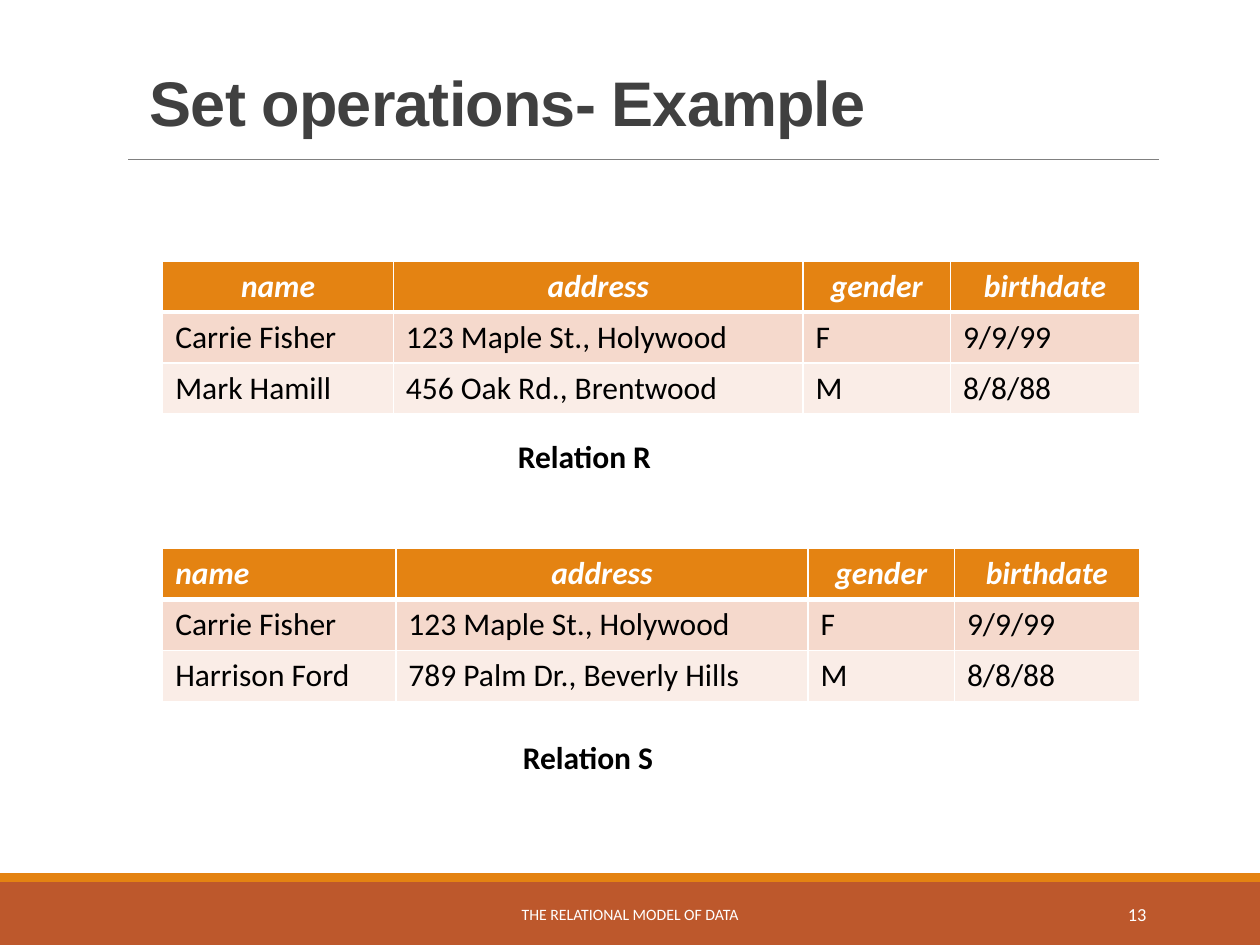
from lxml.etree import SubElement
from pptx import Presentation
from pptx.dml.color import RGBColor
from pptx.enum.shapes import MSO_CONNECTOR as Connector, MSO_SHAPE as Shape
from pptx.enum.text import MSO_ANCHOR as Anchor, PP_ALIGN as Align
from pptx.oxml.ns import qn
from pptx.util import Cm, Pt

COLORS = {
    "title": "404040", "rule": "808080", "text": "000000", "white": "FFFFFF",
    "orange": "E48312", "rust": "BD582C", "row_dark": "F5D9CC", "row_light": "FAEDE7",
}
HEADERS = ["name", "address", "gender", "birthdate"]
ROW_HEIGHT = 1.03


def color(name):
    return RGBColor.from_string(COLORS[name])


def write_text(frame, text, size=18, font="Calibri", fill="text", bold=False,
               italic=False, align=Align.LEFT, line_spacing=None, tracking=None):
    paragraph = frame.paragraphs[0]
    paragraph.alignment = align
    paragraph.line_spacing = line_spacing
    run = paragraph.add_run()
    run.text = text
    run.font.size, run.font.name = Pt(size), font
    run.font.bold, run.font.italic = bold, italic
    run.font.color.rgb = color(fill)
    if tracking is not None:
        run.font._element.set("spc", str(round(tracking * 100)))


def add_text(slide, left, top, width, height, text, anchor=Anchor.TOP, wrap=True, **text_format):
    box = slide.shapes.add_textbox(Cm(left), Cm(top), Cm(width), Cm(height))
    box.text_frame.word_wrap = wrap
    box.text_frame.vertical_anchor = anchor
    write_text(box.text_frame, text, **text_format)


def add_band(slide, left, top, width, height, fill):
    band = slide.shapes.add_shape(Shape.RECTANGLE, Cm(left), Cm(top), Cm(width), Cm(height))
    band.shadow.inherit = False
    band.fill.solid()
    band.fill.fore_color.rgb = color(fill)
    band.line.fill.background()


def add_borders(cell, **widths):
    """Draw white cell borders, with widths in points by side."""
    properties = cell._tc.get_or_add_tcPr()
    for side in "LRTB":
        line = SubElement(properties, qn(f"a:ln{side}"), w=str(Pt(widths.get(side, 1))))
        fill = SubElement(line, qn("a:solidFill"))
        SubElement(fill, qn("a:srgbClr"), val=COLORS["white"])


def add_header(slide, left, top, width, title):
    add_text(slide, left + 0.18, top, width + 1.27, 2.34, title, size=36, font="Arial",
             fill="title", bold=True, line_spacing=0.85, tracking=-0.5)
    rule_top = top + 1.81
    rule = slide.shapes.add_connector(
        Connector.STRAIGHT, Cm(left), Cm(rule_top), Cm(left + width), Cm(rule_top))
    rule.line.color.rgb = color("rule")
    rule.line.width = Pt(0.5)
    SubElement(rule._element.spPr, qn("a:effectLst"))


def add_footer(slide, left, top, width, height, text, number):
    stripe = 0.18
    add_band(slide, left, top + stripe, width, height - stripe, "rust")
    add_band(slide, left, top, width, stripe, "orange")
    label = {"anchor": Anchor.MIDDLE, "fill": "white"}
    add_text(slide, left + 7.67, top + 0.33, 10.06, 1.01, text,
             size=9, align=Align.CENTER, **label)
    add_text(slide, left + 20.62, top + 0.33, 2.74, 1.01, number,
             size=10.5, align=Align.RIGHT, **label)


def add_relation(slide, left, top, column_widths, records, caption, caption_left,
                 caption_top, name_align=Align.CENTER):
    rows = [HEADERS, *records]
    table = slide.shapes.add_table(
        len(rows), len(HEADERS), Cm(left), Cm(top),
        Cm(sum(column_widths)), Cm(ROW_HEIGHT * len(rows))).table
    for column, width in zip(table.columns, column_widths):
        column.width = Cm(width)

    for row_index, values in enumerate(rows):
        table.rows[row_index].height = Cm(ROW_HEIGHT)
        is_header = row_index == 0
        row_fill = "orange" if is_header else ("row_light", "row_dark")[row_index % 2]
        for column_index, value in enumerate(values):
            cell = table.cell(row_index, column_index)
            add_borders(cell, B=3 if is_header else 1, T=3 if row_index == 1 else 1)
            cell.fill.solid()
            cell.fill.fore_color.rgb = color(row_fill)
            align = Align.LEFT
            if is_header:
                align = name_align if column_index == 0 else Align.CENTER
            write_text(cell.text_frame, value, fill="white" if is_header else "text",
                       bold=is_header, italic=is_header, align=align)

    add_text(slide, left + caption_left, top + caption_top, 4, 1.03, caption,
             wrap=False, bold=True)


def main():
    presentation = Presentation()
    presentation.slide_width, presentation.slide_height = Cm(25.4), Cm(19.05)
    slide = presentation.slides.add_slide(presentation.slide_layouts[6])

    # Footer bands and title
    add_footer(slide, 0, 17.6, 25.4, 1.45, "THE RELATIONAL MODEL OF DATA", "13")
    add_header(slide, 2.59, 1.4, 20.78, "Set operations- Example")

    # The two relations, each with its caption
    carrie = ["Carrie Fisher", "123 Maple St., Holywood", "F", "9/9/99"]
    add_relation(slide, 3.28, 5.26, [4.65, 8.26, 2.97, 3.81],
                 [carrie, ["Mark Hamill", "456 Oak Rd., Brentwood", "M", "8/8/88"]],
                 "Relation R", caption_left=6.91, caption_top=3.43)
    add_relation(slide, 3.28, 11.05, [4.7, 8.31, 2.95, 3.73],
                 [carrie, ["Harrison Ford", "789 Palm Dr., Beverly Hills", "M", "8/8/88"]],
                 "Relation S", caption_left=7.01, caption_top=3.71, name_align=Align.LEFT)

    presentation.save("out.pptx")


if __name__ == "__main__":
    main()
